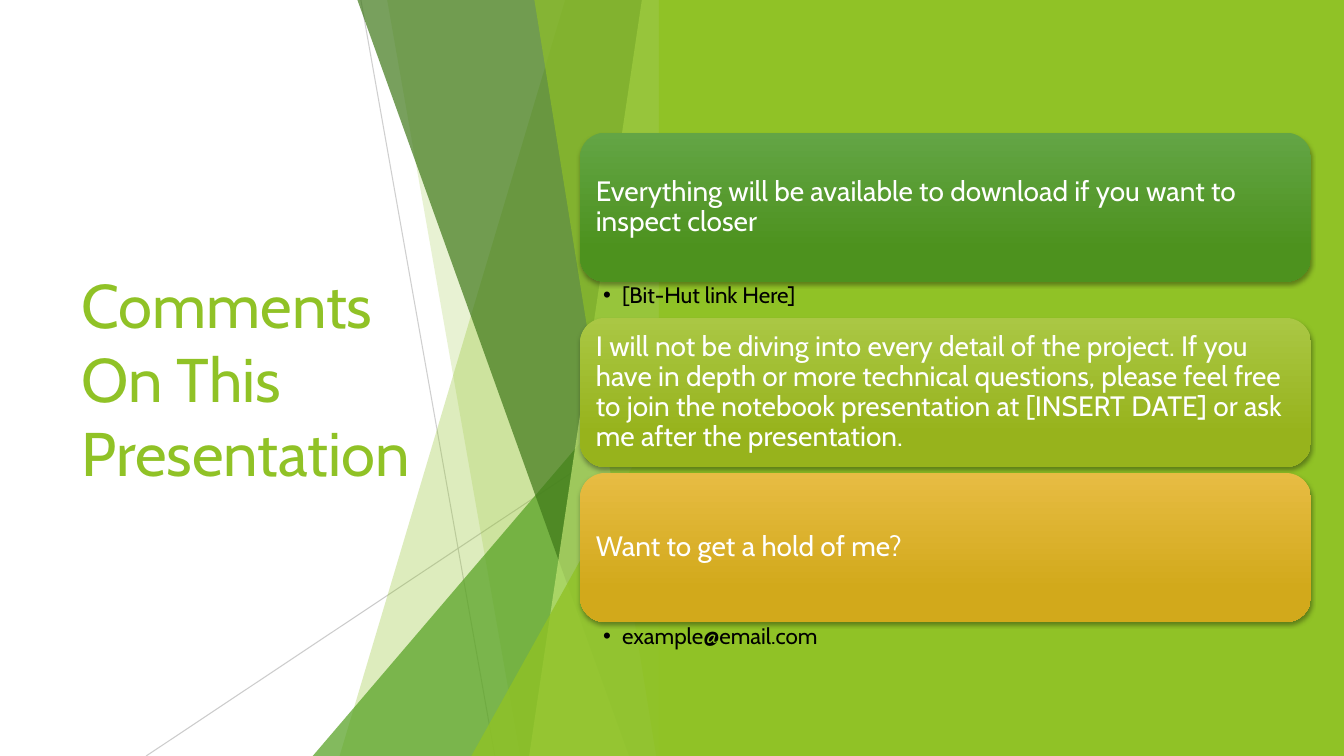
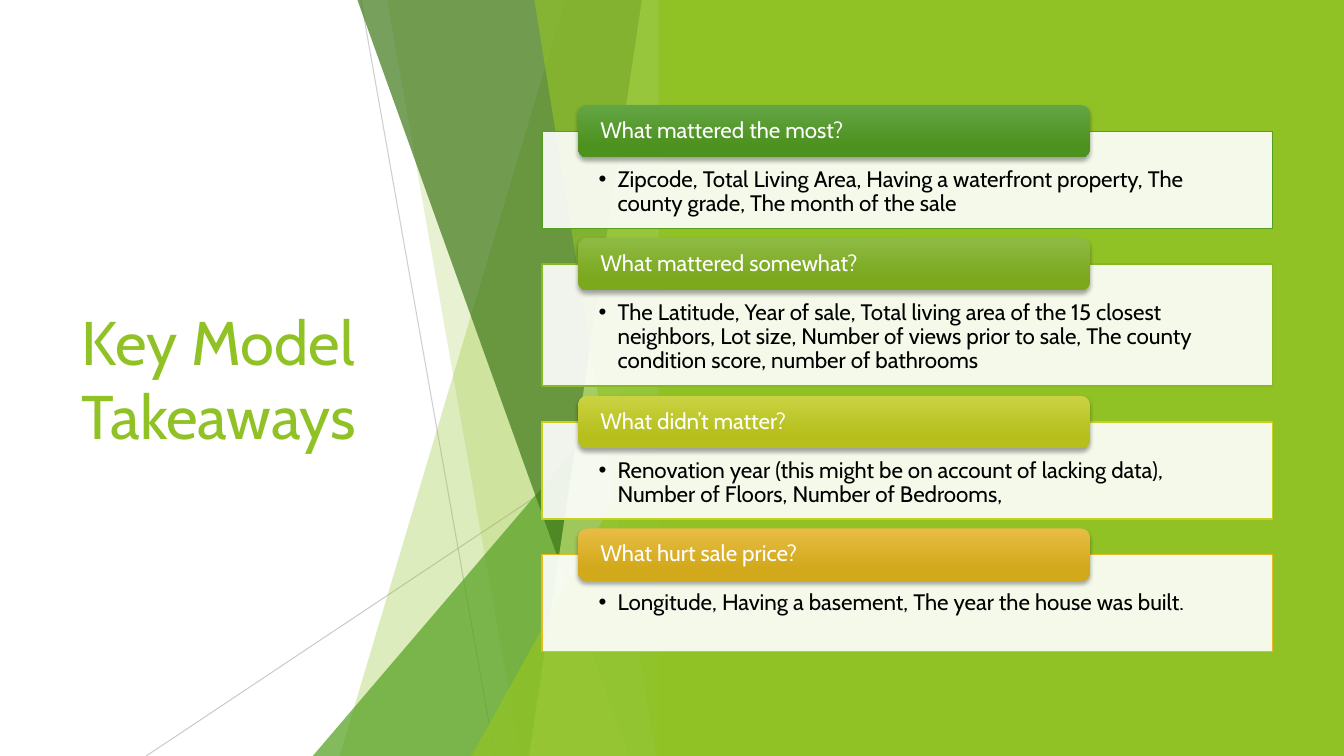
from lxml import etree
from pptx import Presentation
from pptx.dml.color import RGBColor
from pptx.enum.shapes import MSO_CONNECTOR, MSO_SHAPE
from pptx.enum.text import MSO_ANCHOR, PP_ALIGN
from pptx.oxml.ns import qn
from pptx.util import Pt

RECTANGLE = MSO_SHAPE.RECTANGLE
ROUNDED = MSO_SHAPE.ROUNDED_RECTANGLE
TRIANGLE = MSO_SHAPE.ISOSCELES_TRIANGLE
STRAIGHT = MSO_CONNECTOR.STRAIGHT
TOP, MIDDLE = MSO_ANCHOR.TOP, MSO_ANCHOR.MIDDLE
LEFT = PP_ALIGN.LEFT

FONT = "Cabin"
WHITE = RGBColor(0xFF, 0xFF, 0xFF)
BLACK = RGBColor(0x00, 0x00, 0x00)
GREY = RGBColor(0xBF, 0xBF, 0xBF)
LIME = RGBColor(0x90, 0xC2, 0x26)
PALE_LIME = RGBColor(0xC0, 0xE4, 0x74)
GREEN = RGBColor(0x54, 0xA0, 0x21)
DARK_GREEN = RGBColor(0x3F, 0x78, 0x19)
LEAF = RGBColor(0x86, 0xB8, 0x20)
YELLOW = RGBColor(0xC7, 0xD0, 0x1D)
GOLD = RGBColor(0xE6, 0xB9, 0x1E)
GREEN_FADE = (RGBColor(0x63, 0xA5, 0x45), RGBColor(0x4D, 0x92, 0x1E))
OLIVE_FADE = (RGBColor(0xAA, 0xC7, 0x44), RGBColor(0x97, 0xB3, 0x1C))
LEAF_FADE = (RGBColor(0x8E, 0xBB, 0x44), RGBColor(0x7B, 0xA8, 0x1D))
YELLOW_FADE = (RGBColor(0xCA, 0xD2, 0x43), RGBColor(0xB6, 0xBF, 0x1B))
GOLD_FADE = (RGBColor(0xE7, 0xBC, 0x43), RGBColor(0xD2, 0xA9, 0x1B))

WIDTH, HEIGHT = 960, 540
FACET_RIGHT = 479.7
BULLET_INDENT = 13.6


def write(box, text, size=16, color=BLACK, anchor=TOP, insets=(7.2, 3.6, 7.2, 3.6),
          spacing=0.9, bullet=False):
    """Insets are left, top, right and bottom, in points."""
    frame = box.text_frame
    frame.word_wrap = True
    frame.vertical_anchor = anchor
    (frame.margin_left, frame.margin_top,
     frame.margin_right, frame.margin_bottom) = map(Pt, insets)
    para = frame.paragraphs[0]
    para.alignment = LEFT
    para.line_spacing = spacing
    span = para.add_run()
    span.text = text
    span.font.name = FONT
    span.font.size = Pt(size)
    span.font.color.rgb = color
    if bullet:
        properties = para._p.get_or_add_pPr()
        properties.set("marL", str(Pt(BULLET_INDENT)))
        properties.set("indent", str(-Pt(BULLET_INDENT)))
        etree.SubElement(properties, qn("a:buFont"), typeface="Arial")
        etree.SubElement(properties, qn("a:buChar"), char="•")


def paint(shape, fill, opacity=100, line=None):
    """A pair of colours gives a downward fade with a soft shadow."""
    shape.shadow.inherit = False
    if line is None:
        shape.line.fill.background()
    else:
        shape.line.color.rgb = line
        shape.line.width = Pt(1)
    if isinstance(fill, RGBColor):
        shape.fill.solid()
        shape.fill.fore_color.rgb = fill
        if opacity < 100:
            color = shape.element.spPr.find(qn("a:solidFill"))[0]
            etree.SubElement(color, qn("a:alpha"), val=str(opacity * 1000))
        return
    shape.fill.gradient()
    shape.fill.gradient_angle = 270
    for stop, color, position in zip(shape.fill.gradient_stops, fill, (0, 0.78)):
        stop.color.rgb = color
        stop.position = position
    effects = shape.element.spPr.find(qn("a:effectLst"))
    shadow = etree.SubElement(effects, qn("a:outerShdw"), blurRad=str(Pt(3)),
                              dist=str(Pt(2)), dir="5400000", rotWithShape="0")
    color = etree.SubElement(shadow, qn("a:srgbClr"), val=str(BLACK))
    etree.SubElement(color, qn("a:alpha"), val="35000")


deck = Presentation()
deck.slide_width, deck.slide_height = Pt(WIDTH), Pt(HEIGHT)

# Backdrop and title shared by both slides
HAIRLINES = [  # from x, from y, to x, to y, opacity
    (257.8, 0, 353.5, HEIGHT, 75),
    (FACET_RIGHT, 290.2, 104.4, HEIGHT, 80),
]
FACETS = [  # outline, top x, top y, bottom x, colour, opacity
    ("band", 403.9, -0.6, 242.6, LIME, 30),
    ("band", 276.5, -0.6, 371.5, LIME, 20),
    ("triangle", FACET_RIGHT, 240, 223.4, GREEN, 72),
    ("band", 255.1, -0.6, 449.3, DARK_GREEN, 70),
    ("band", 458.6, -0.6, 378, PALE_LIME, 70),
    ("band", 381.6, -0.6, 468.7, LIME, 65),
    ("triangle", FACET_RIGHT, 283, 336.7, LIME, 80),
]

pages = []
for title in ("Comments On This Presentation", "Key Model Takeaways"):
    page = deck.slides.add_slide(deck.slide_layouts[6])
    pages.append(page)
    title_box = page.shapes.add_textbox(Pt(51.2), Pt(108.7), Pt(279.4), Pt(322.6))
    write(title_box, title, size=44, color=LIME, anchor=MIDDLE, spacing=1.0)

    for x1, y1, x2, y2, opacity in HAIRLINES:
        hairline = page.shapes.add_connector(STRAIGHT, Pt(x1), Pt(y1), Pt(x2), Pt(y2))
        hairline.line.color.rgb = GREY
        hairline.line.width = Pt(0.75)
        line_color = hairline.element.spPr.find(".//" + qn("a:srgbClr"))
        etree.SubElement(line_color, qn("a:alpha"), val=str(opacity * 1000))
        etree.SubElement(hairline.element.spPr, qn("a:effectLst"))

    for outline, top_x, top_y, bottom_x, color, opacity in FACETS:
        if outline == "triangle":
            facet = page.shapes.add_shape(TRIANGLE, Pt(bottom_x), Pt(top_y),
                                          Pt(top_x - bottom_x), Pt(HEIGHT - top_y))
            facet.adjustments[0] = 1
        else:
            builder = page.shapes.build_freeform(Pt(top_x), Pt(top_y))
            builder.add_line_segments([(Pt(FACET_RIGHT), Pt(top_y)),
                                       (Pt(FACET_RIGHT), Pt(HEIGHT)),
                                       (Pt(bottom_x), Pt(HEIGHT))])
            facet = builder.convert_to_shape()
        paint(facet, color, opacity)

    side = page.shapes.add_shape(RECTANGLE, Pt(470.6), 0, Pt(WIDTH - 470.6), Pt(HEIGHT))
    paint(side, LIME)

comments_page, takeaways_page = pages

# Comment cards, some with a line below
COMMENTS = [
    ("Everything will be available to download if you want to inspect closer",
     "[Bit-Hut link Here]", GREEN_FADE),
    ("I will not be diving into every detail of the project. If you have in depth or more "
     "technical questions, please feel free to join the notebook presentation at "
     "[INSERT DATE] or ask me after the presentation.", None, OLIVE_FADE),
    ("Want to get a hold of me?", "example@email.com", GOLD_FADE),
]
CARD_LEFT, CARD_WIDTH, CARD_HEIGHT = 414.4, 522, 106.4
DETAIL_HEIGHT, CARD_GAP = 25.9, 4.4

top = 94.8
for comment, detail, fade in COMMENTS:
    card = comments_page.shapes.add_shape(ROUNDED, Pt(CARD_LEFT), Pt(top),
                                          Pt(CARD_WIDTH), Pt(CARD_HEIGHT))
    paint(card, fade)
    write(card, comment, size=20, color=WHITE, anchor=MIDDLE, insets=(6, 6, 6, 6))
    top += CARD_HEIGHT
    if detail:
        detail_box = comments_page.shapes.add_textbox(Pt(CARD_LEFT), Pt(top),
                                                      Pt(CARD_WIDTH), Pt(DETAIL_HEIGHT))
        write(detail_box, detail, insets=(16.4, 2, 11.5, 2), bullet=True)
        top += DETAIL_HEIGHT
    else:
        top += CARD_GAP

# Takeaway panels, each with a heading tab on its top edge
TAKEAWAYS = [
    ("What mattered the most?",
     "Zipcode, Total Living Area, Having a waterfront property, The county grade, "
     "The month of the sale", 69.3, GREEN, GREEN_FADE),
    ("What mattered somewhat?",
     "The Latitude, Year of sale, Total living area of the 15 closest neighbors, Lot size, "
     "Number of views prior to sale, The county condition score, number of bathrooms",
     87.3, LEAF, LEAF_FADE),
    ("What didn’t matter?",
     "Renovation year (this might be on account of lacking data), Number of Floors, "
     "Number of Bedrooms,", 69.3, YELLOW, YELLOW_FADE),
    ("What hurt sale price?",
     "Longitude, Having a basement, The year the house was built.", 69.3, GOLD, GOLD_FADE),
]
PANEL_LEFT, PANEL_WIDTH, PANEL_GAP = 387, 522, 25.5
TAB_LEFT, TAB_WIDTH, TAB_HEIGHT = 413, 365.4, 37.4

top = 93.8
for heading, factors, height, edge, fade in TAKEAWAYS:
    panel = takeaways_page.shapes.add_shape(RECTANGLE, Pt(PANEL_LEFT), Pt(top),
                                            Pt(PANEL_WIDTH), Pt(height))
    paint(panel, WHITE, opacity=90, line=edge)
    write(panel, factors, insets=(40.5, 26.4, 40.5, 8.6), bullet=True)
    tab = takeaways_page.shapes.add_shape(ROUNDED, Pt(TAB_LEFT), Pt(top - TAB_HEIGHT / 2),
                                          Pt(TAB_WIDTH), Pt(TAB_HEIGHT))
    paint(tab, fade)
    write(tab, heading, color=WHITE, anchor=MIDDLE, insets=(14, 0, 14, 0))
    top += height + PANEL_GAP

deck.save("out.pptx")
